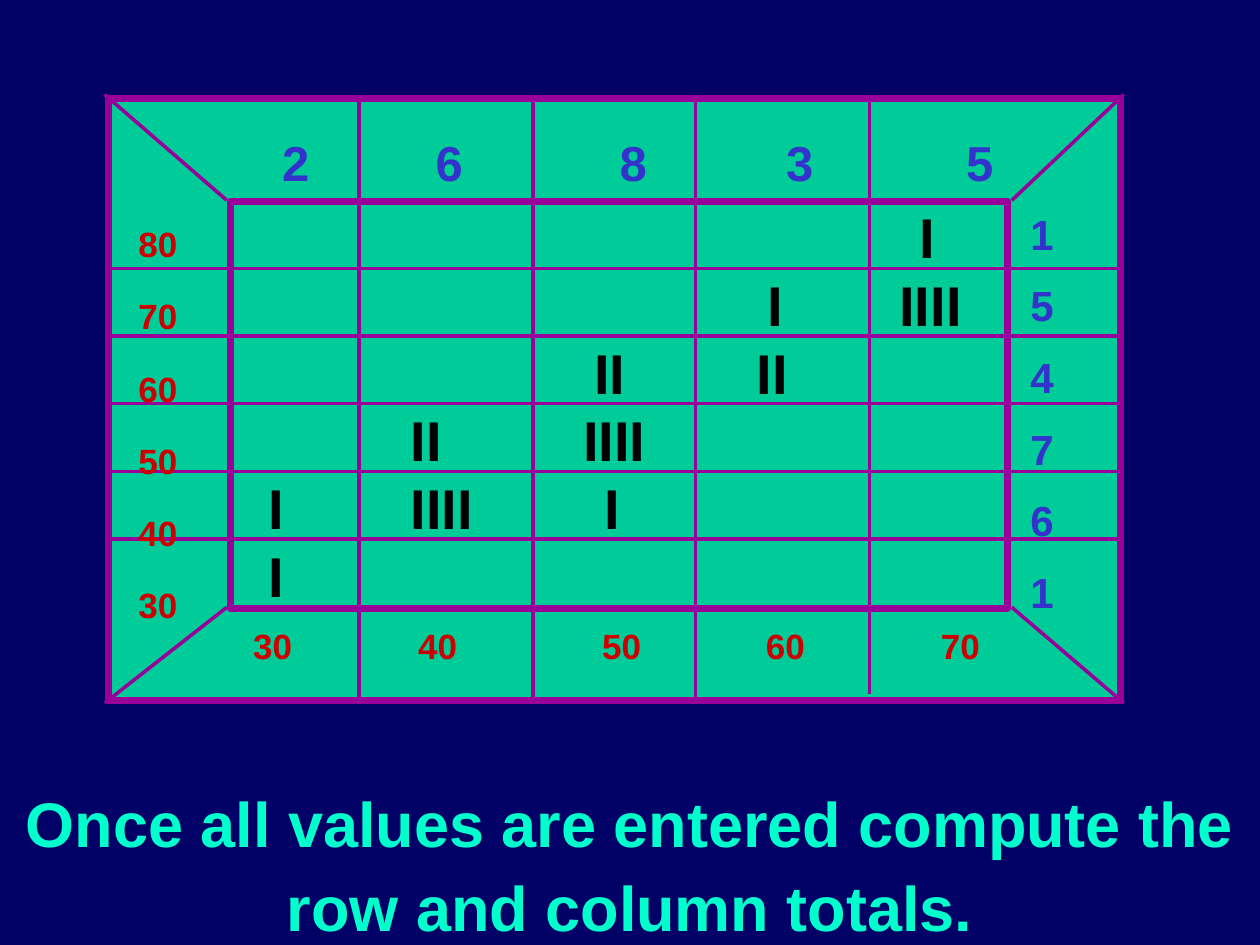
from lxml import etree
from pptx import Presentation
from pptx import util as u
from pptx.dml.color import RGBColor
from pptx.enum import shapes, text
from pptx.oxml.ns import qn

COLORS = {"background": "000066", "panel": "00CC99", "rule": "990099",
          "caption": "00FFCC", "scale": "CC0000", "total": "3333CC",
          "tally": "000000"}
COLUMNS, ROWS = 100, 75


class ScatterSlide:
    """Style and current slide; lengths are columns and rows of the grid."""

    def __init__(self, deck):
        self.font = "Arial"
        self.column = deck.slide_width / COLUMNS
        self.row = deck.slide_height / ROWS
        self.slide = deck.slides.add_slide(deck.slide_layouts[6])
        fill = self.slide.background.fill
        fill.solid()
        fill.fore_color.rgb = self.color("background")

    def color(self, name):
        return RGBColor.from_string(COLORS[name])

    def place(self, x, y):
        return u.Emu(round(x * self.column)), u.Emu(round(y * self.row))

    def frame(self, x, y, width, height):
        panel = self.slide.shapes.add_shape(
            shapes.MSO_SHAPE.RECTANGLE, *self.place(x, y), *self.place(width, height))
        panel.shadow.inherit = False
        panel.fill.solid()
        panel.fill.fore_color.rgb = self.color("panel")
        panel.line.color.rgb = self.color("rule")
        panel.line.width = u.Pt(4)

    def rule(self, x1, y1, x2, y2):
        line = self.slide.shapes.add_connector(
            shapes.MSO_CONNECTOR.STRAIGHT, *self.place(x1, y1), *self.place(x2, y2))
        line.line.color.rgb = self.color("rule")
        line.line.width = u.Pt(2)
        etree.SubElement(line._element.spPr, qn("a:effectLst"))

    def label(self, x, y, width, height, words, size, color,
              align=text.PP_ALIGN.LEFT, spacing=None, before=0, stops=()):
        box = self.slide.shapes.add_textbox(*self.place(x, y), *self.place(width, height))
        body = box.text_frame
        body.word_wrap = True
        body.text = words
        for number, paragraph in enumerate(body.paragraphs):
            paragraph.alignment = align
            if spacing:
                paragraph.line_spacing = spacing
            if number and before:
                paragraph.space_before = u.Pt(before)
            if stops:
                tabs = etree.SubElement(paragraph._p.get_or_add_pPr(), qn("a:tabLst"))
                for stop in stops:
                    etree.SubElement(tabs, qn("a:tab"),
                                     pos=str(round(stop * self.column)), algn="l")
            for run in paragraph.runs:
                run.font.name = self.font
                run.font.size = u.Pt(size)
                run.font.bold = True
                run.font.color.rgb = self.color(color)


def main():
    deck = Presentation()
    deck.slide_width, deck.slide_height = u.Inches(10), u.Inches(7.5)
    chart = ScatterSlide(deck)

    # Caption
    chart.label(0, 61.1, 100, 13.7,
                "Once all values are entered compute the row and column totals.",
                36, "caption", text.PP_ALIGN.CENTER, spacing=1.11)

    # Outer and inner frames
    chart.frame(8.6, 7.8, 80.3, 47.8)
    chart.frame(18.3, 16, 61.7, 32.3)

    # Grid rules and corner diagonals
    left, right, top, bottom = 8.3, 89.2, 7.5, 55.8
    row_step = 5.37
    for x, end in ((28.5, bottom), (42.3, bottom), (55.2, bottom), (69, 55.1)):
        chart.rule(x, top, x, end)
    for number in range(5):
        y = 21.3 + number * row_step
        chart.rule(left, y, right, y)
    for inner_x, outer_x in ((18, left), (80.3, right)):
        for inner_y, outer_y in ((15.9, top), (48.2, bottom)):
            chart.rule(inner_x, inner_y, outer_x, outer_y)

    # Scales
    chart.label(10, 16.5, 6.5, 33.7, "80\n70\n60\n50\n40\n30", 20, "scale",
                spacing=1.2, before=12.5)
    chart.label(19.1, 49.1, 59.8, 4.3, "30\t40\t50\t60\t70", 20, "scale",
                stops=(13.1, 27.7, 40.7, 54.6))

    # Tally marks: left edge, row from the top, count
    for x, row, count in ((72, 0, 1), (20.3, 5, 1), (20.3, 4, 1), (31.6, 3, 2),
                          (31.6, 4, 4), (59.1, 2, 2), (59.9, 1, 1), (46.2, 2, 2),
                          (45.3, 3, 4), (47, 4, 1), (70.4, 1, 4)):
        chart.label(x, 15.6 + row * row_step, 2.1 + 1.25 * count, 6.3,
                    "I" * count, 32, "tally")

    # Column and row totals
    chart.label(21.4, 10, 60, 5.7, "2\t6\t8\t3\t5", 28, "total",
                stops=(12.2, 26.8, 40, 54.3))
    chart.label(80.8, 16.5, 6.7, 33, "1\n5\n4\n7\n6\n1", 24, "total",
                spacing=0.9, before=15)

    deck.save("out.pptx")


if __name__ == "__main__":
    main()
